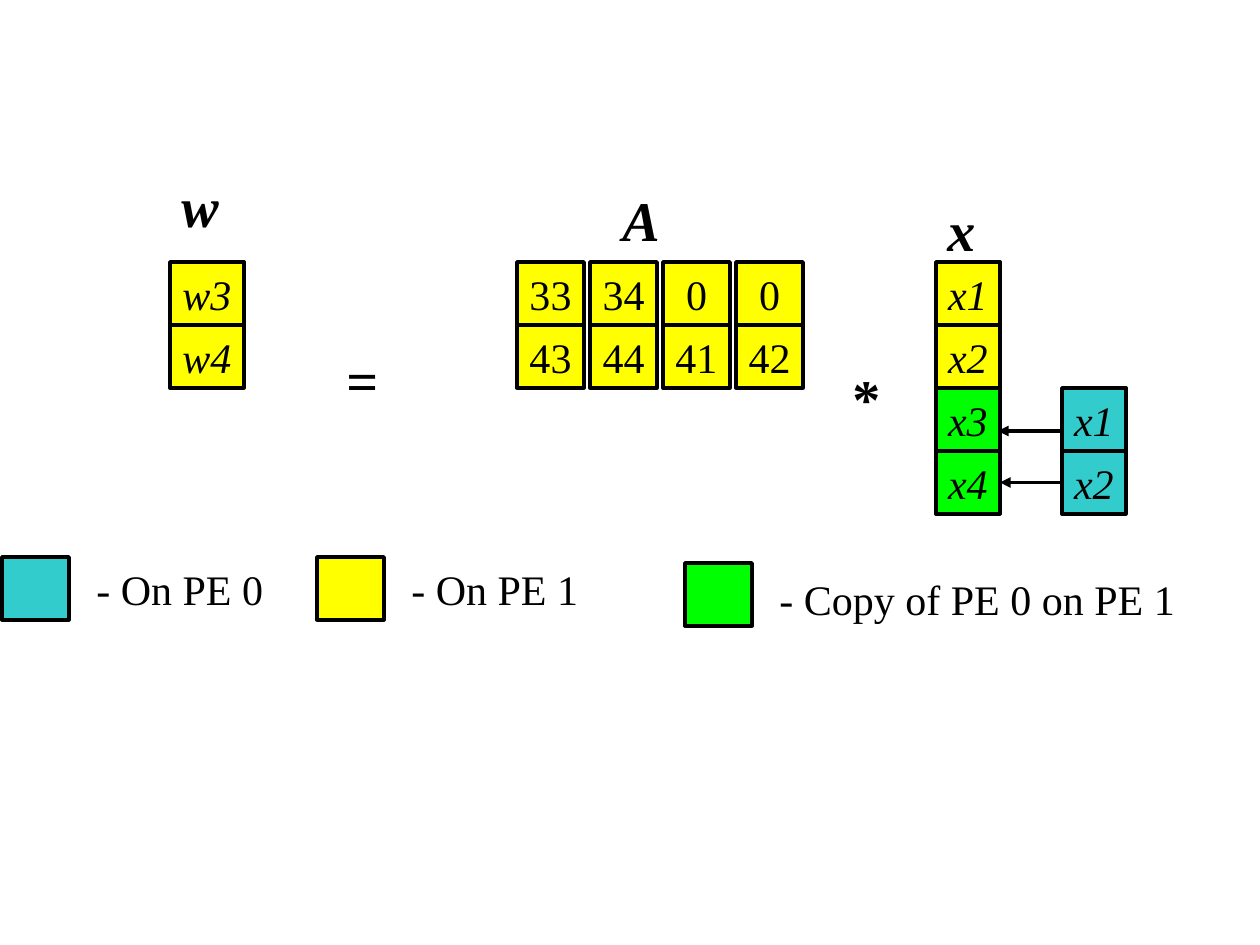
from dataclasses import dataclass

import pptx
import pptx.dml.color
import pptx.enum.shapes
import pptx.enum.text
import pptx.oxml.ns
import pptx.util
from lxml import etree

EMU_PER_PX = 914400 / 126
CELL_HEIGHT = 63
MATRIX_LEFT, MATRIX_TOP = 517, 262
COLUMN_WIDTH, COLUMN_PITCH = 67, 73


@dataclass(frozen=True)
class Theme:
    font: str = "Times New Roman"
    ink: str = "000000"
    pe0: str = "33CCCC"
    pe1: str = "FFFF00"
    copied: str = "00FF00"
    body_size: int = 24
    symbol_size: int = 32
    line_width: int = 2


@dataclass(frozen=True)
class Stack:
    left: int
    top: int
    width: int
    color: str
    entries: tuple[str, ...]
    italic: bool = True


@dataclass(frozen=True)
class Symbol:
    left: int
    top: int
    width: int
    text: str
    italic: bool


@dataclass(frozen=True)
class LegendEntry:
    left: int
    top: int
    color: str
    text: str
    text_top: int
    text_width: int


THEME = Theme()

MATRIX = (("33", "43"), ("34", "44"), ("0", "41"), ("0", "42"))

RESULT = Stack(170, MATRIX_TOP, 74, THEME.pe1, ("w3", "w4"))
LOCAL_X = Stack(936, MATRIX_TOP, 64, THEME.pe1, ("x1", "x2"))
COPIED_X = Stack(936, 388, 64, THEME.copied, ("x3", "x4"))
REMOTE_X = Stack(1062, 388, 64, THEME.pe0, ("x1", "x2"))

SYMBOLS = (
    Symbol(169, 165, 62, "w", True),
    Symbol(334, 339, 57, "=", False),
    Symbol(610, 179, 62, "A", True),
    Symbol(840, 357, 53, "*", False),
    Symbol(935, 189, 53, "x", True),
)

LEGEND = (
    LegendEntry(2, 557, THEME.pe0, "- On PE 0", 557, 192),
    LegendEntry(317, 557, THEME.pe1, "- On PE 1", 557, 192),
    LegendEntry(685, 563, THEME.copied, "- Copy of PE 0 on PE 1", 567, 421),
)


def px(length: int) -> int:
    return round(length * EMU_PER_PX)


def rgb(color: str) -> pptx.dml.color.RGBColor:
    return pptx.dml.color.RGBColor.from_string(color)


def write(shape, text: str, size: int, bold: bool = False, italic: bool = False,
          centered: bool = False) -> None:
    frame = shape.text_frame
    frame.word_wrap = False
    frame.vertical_anchor = pptx.enum.text.MSO_ANCHOR.TOP
    paragraph = frame.paragraphs[0]
    align = pptx.enum.text.PP_ALIGN
    paragraph.alignment = align.CENTER if centered else align.LEFT
    run = paragraph.add_run()
    run.text = text
    run.font.name = THEME.font
    run.font.size = pptx.util.Pt(size)
    run.font.bold = bold
    run.font.italic = italic
    run.font.color.rgb = rgb(THEME.ink)


def draw_cell(slide, left: int, top: int, width: int, color: str):
    cell = slide.shapes.add_shape(
        pptx.enum.shapes.MSO_SHAPE.RECTANGLE,
        px(left), px(top), px(width), px(CELL_HEIGHT))
    cell.shadow.inherit = False
    cell.fill.solid()
    cell.fill.fore_color.rgb = rgb(color)
    cell.line.color.rgb = rgb(THEME.ink)
    cell.line.width = pptx.util.Pt(THEME.line_width)
    return cell


def draw_stack(slide, stack: Stack) -> list:
    cells = []
    for row, entry in enumerate(stack.entries):
        cell = draw_cell(slide, stack.left, stack.top + row * CELL_HEIGHT,
                         stack.width, stack.color)
        write(cell, entry, THEME.body_size, italic=stack.italic, centered=True)
        cells.append(cell)
    return cells


def draw_symbol(slide, symbol: Symbol) -> None:
    label = slide.shapes.add_textbox(
        px(symbol.left), px(symbol.top), px(symbol.width), px(81))
    write(label, symbol.text, THEME.symbol_size, bold=True, italic=symbol.italic)


def draw_legend_entry(slide, entry: LegendEntry) -> None:
    draw_cell(slide, entry.left, entry.top, COLUMN_WIDTH, entry.color)
    caption = slide.shapes.add_textbox(
        px(entry.left + 82), px(entry.text_top), px(entry.text_width), px(CELL_HEIGHT))
    write(caption, entry.text, THEME.body_size)


def draw_transfer(slide, y: int):
    arrow = slide.shapes.add_connector(
        pptx.enum.shapes.MSO_CONNECTOR.STRAIGHT, px(1061), px(y), px(998), px(y))
    arrow.line.color.rgb = rgb(THEME.ink)
    arrow.line.width = pptx.util.Pt(THEME.line_width)
    qn = pptx.oxml.ns.qn
    etree.SubElement(arrow.line._get_or_add_ln(), qn("a:tailEnd"), type="triangle")
    etree.SubElement(arrow._element.spPr, qn("a:effectLst"))
    return arrow


def main() -> None:
    deck = pptx.Presentation()
    deck.slide_width, deck.slide_height = px(1260), px(945)
    slide = deck.slides.add_slide(deck.slide_layouts[6])

    for column, entries in enumerate(MATRIX):
        draw_stack(slide, Stack(MATRIX_LEFT + column * COLUMN_PITCH, MATRIX_TOP,
                                COLUMN_WIDTH, THEME.pe1, entries, italic=False))
    draw_stack(slide, RESULT)
    draw_stack(slide, LOCAL_X)
    copied_cells = draw_stack(slide, COPIED_X)
    remote_cells = draw_stack(slide, REMOTE_X)

    for symbol in SYMBOLS:
        draw_symbol(slide, symbol)
    for entry in LEGEND:
        draw_legend_entry(slide, entry)

    draw_transfer(slide, 431)
    lower_transfer = draw_transfer(slide, 483)
    lower_transfer.begin_connect(remote_cells[1], 1)
    lower_transfer.end_connect(copied_cells[1], 3)

    deck.save("out.pptx")


if __name__ == "__main__":
    main()
